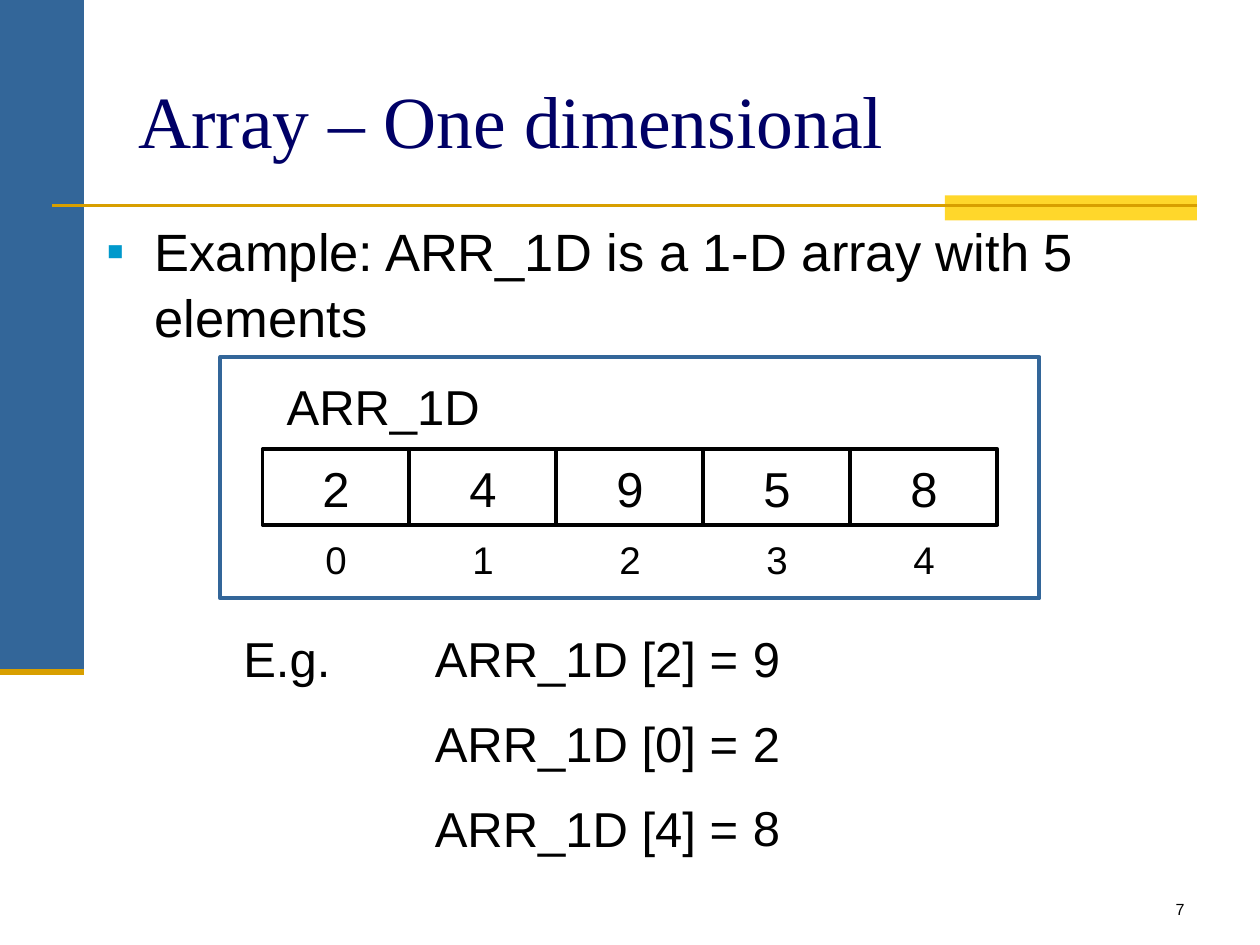
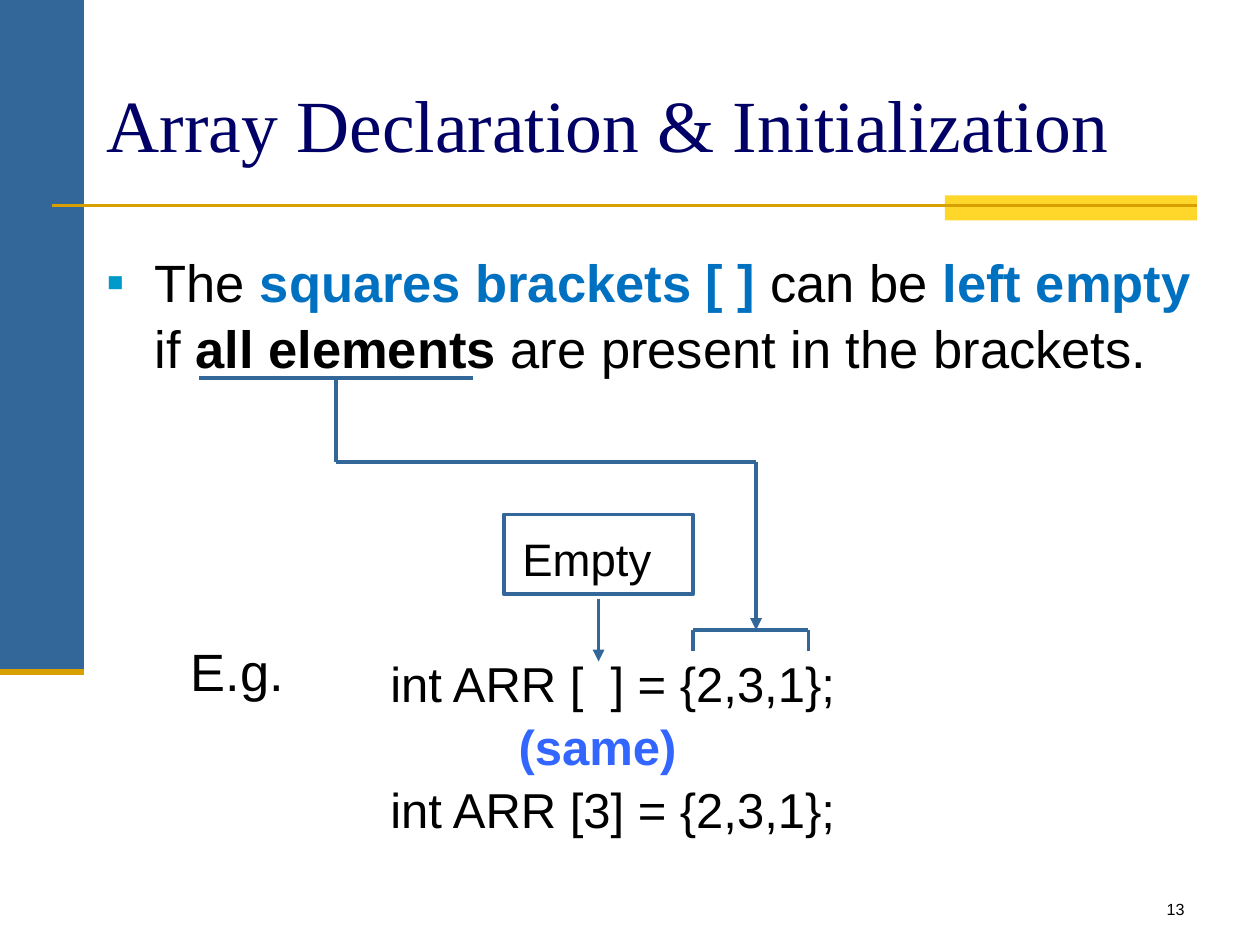
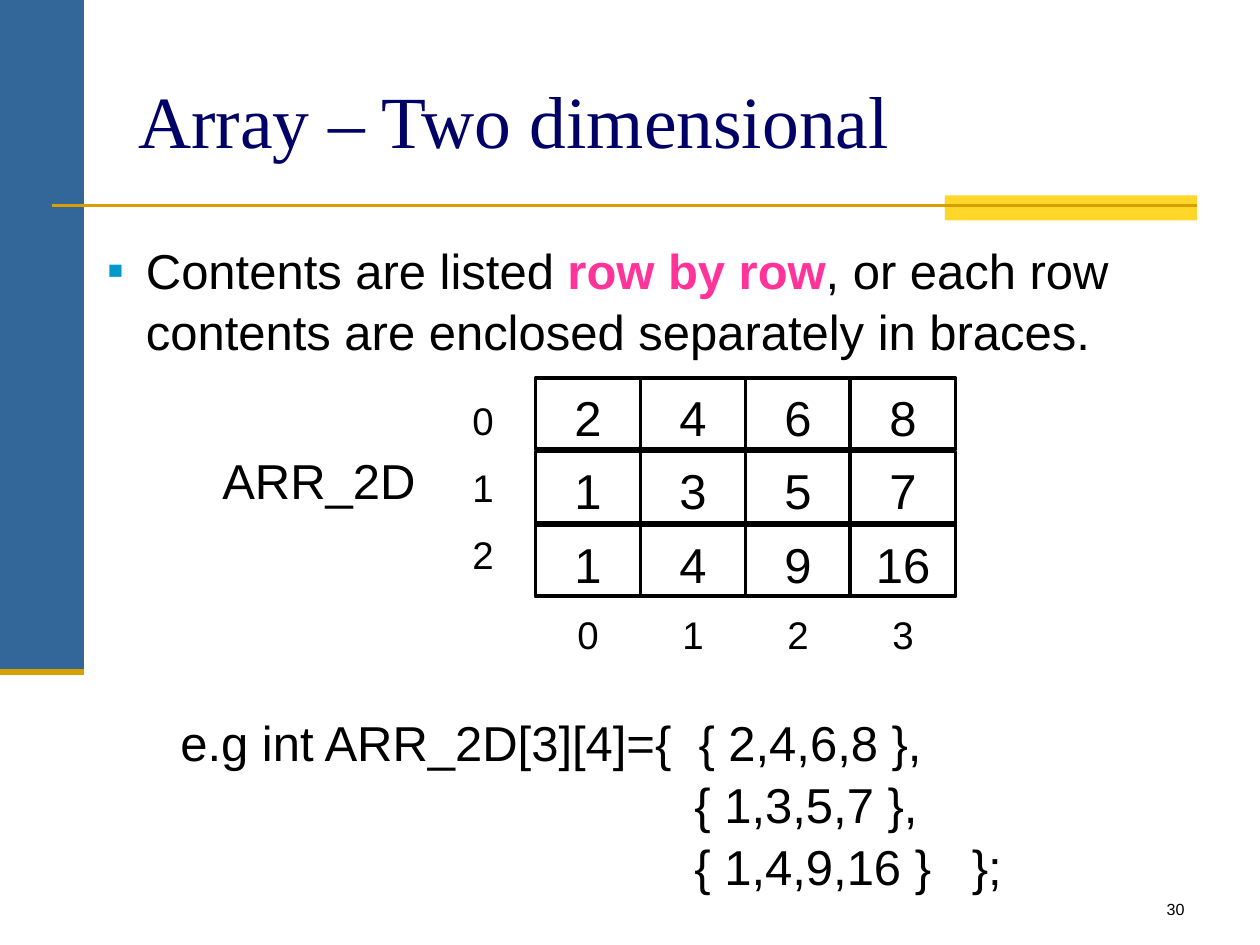
import lxml.etree
import pptx
import pptx.dml.color
import pptx.enum.shapes
import pptx.enum.text
import pptx.oxml.ns
import pptx.util

RGB = pptx.dml.color.RGBColor
BLUE = RGB(0x33, 0x66, 0x99)
YELLOW = RGB(0xFF, 0xD7, 0x2B)
GOLD = RGB(0xD8, 0x9F, 0x00)
NAVY = RGB(0x00, 0x00, 0x66)
BULLET = RGB(0x00, 0x99, 0xCC)
BLACK = RGB(0, 0, 0)
STRONG_BLUE = RGB(0x00, 0x70, 0xC0)
BRIGHT_BLUE = RGB(0x33, 0x66, 0xFF)
PINK = RGB(0xFF, 0x33, 0x99)

ALIGN = pptx.enum.text.PP_ALIGN
ANCHOR = pptx.enum.text.MSO_ANCHOR
RECTANGLE = pptx.enum.shapes.MSO_SHAPE.RECTANGLE
STRAIGHT = pptx.enum.shapes.MSO_CONNECTOR.STRAIGHT

SLIDE_WIDTH, SLIDE_HEIGHT = pptx.util.Inches(10), pptx.util.Inches(7.5)
COLUMNS = 120  # the slide is a grid of 120 by 90 square units
UNIT = SLIDE_WIDTH / COLUMNS

BODY = {"size": pptx.util.Pt(28), "name": "Arial"}
LARGE = {**BODY, "size": pptx.util.Pt(30)}
NOTE = {**BODY, "size": pptx.util.Pt(26)}
INDEX = {**BODY, "size": pptx.util.Pt(22)}
NUMBER = {**BODY, "size": pptx.util.Pt(9.2)}
TITLE = {"size": pptx.util.Pt(42), "name": "Times New Roman"}


def grid(*lengths):
    return [round(length * UNIT) for length in lengths]


def add_element(parent, tag, **attributes):
    return lxml.etree.SubElement(parent, pptx.oxml.ns.qn(tag), attributes)


def add_bullet(para):
    properties = para._p.get_or_add_pPr()
    add_element(add_element(properties, "a:buClr"), "a:srgbClr", val=str(BULLET))
    add_element(properties, "a:buFont", typeface="Arial")
    add_element(properties, "a:buChar", char="▪")


def add_tab(para, inches):
    stops = add_element(para._p.get_or_add_pPr(), "a:tabLst")
    add_element(stops, "a:tab", pos=str(pptx.util.Inches(inches)), algn="l")


def write(shape, paras, style, align=ALIGN.LEFT, anchor=ANCHOR.TOP, color=BLACK,
          bullet=False, indent=0, tab=None, **margins):
    """Fill a shape with paragraphs, each a string or a list of (text, format) spans."""
    frame = shape.text_frame
    settings = {"word_wrap": True, "vertical_anchor": anchor, **margins}
    for name, value in settings.items():
        setattr(frame, name, value)
    for number, spans in enumerate(paras):
        para = frame.add_paragraph() if number else frame.paragraphs[0]
        para.alignment = align
        para.line_spacing = 1.05
        if indent:
            hanging = pptx.util.Inches(indent)
            properties = para._p.get_or_add_pPr()
            properties.set("marL", str(hanging))
            properties.set("indent", str(-hanging if number == 0 else 0))
        if bullet and number == 0:
            add_bullet(para)
        if tab:
            add_tab(para, tab)
        for text, extra in [(spans, {})] if isinstance(spans, str) else spans:
            span = para.add_run()
            span.text = text
            formats = {"color": color, **style, **extra}
            span.font.color.rgb = formats.pop("color")
            for name, value in formats.items():
                setattr(span.font, name, value)


def add_text(page, box, paras, style, **options):
    write(page.shapes.add_textbox(*grid(*box)), paras, style, **options)


def add_box(page, box, fill=None, line=None):
    shape = page.shapes.add_shape(RECTANGLE, *grid(*box))
    shape.shadow.inherit = False
    if fill is None:
        shape.fill.background()
    else:
        shape.fill.solid()
        shape.fill.fore_color.rgb = fill
    if line is None:
        shape.line.fill.background()
    else:
        shape.line.color.rgb = line
        shape.line.width = pptx.util.Pt(2.25)
    return shape


def add_line(page, ends, color=BLUE, width=2.25, arrow=False):
    line = page.shapes.add_connector(STRAIGHT, *grid(*ends))
    line.line.color.rgb = color
    line.line.width = pptx.util.Pt(width)
    if arrow:
        add_element(line.line._get_or_add_ln(), "a:tailEnd", type="triangle")
    add_element(line._element.spPr, "a:effectLst")


def add_page(deck, title, number, title_left=12, title_top=3.6):
    """Add a slide with the shared side band, title rule and page number."""
    page = deck.slides.add_slide(deck.slide_layouts[6])
    add_box(page, (0, 0, 8, 64), fill=BLUE)
    add_box(page, (90, 18.6, 24, 2.4), fill=YELLOW)
    add_line(page, (5, 19.6, 114, 19.6), GOLD, 1.5)
    add_line(page, (0, 64, 8, 64), GOLD, 3.5)
    add_text(page, (title_left, title_top, 102, 15), [title], TITLE,
             color=NAVY, anchor=ANCHOR.MIDDLE)
    add_text(page, (89, 85, 25, 3), [str(number)], NUMBER, align=ALIGN.RIGHT)
    return page


def add_cells(page, box, rows, row_step):
    """Draw a bordered cell for each value, with rows row_step apart."""
    left, top, width, height = box
    for row, values in enumerate(rows):
        for column, value in enumerate(values):
            cell = add_box(page, (left + column * width, top + row * row_step, width, height),
                           line=BLACK)
            write(cell, [str(value)], BODY, align=ALIGN.CENTER)


def add_indices(page, box, count, across=0, down=0):
    left, top, width, height = box
    for index in range(count):
        add_text(page, (left + index * across, top + index * down, width, height),
                 [str(index)], INDEX, align=ALIGN.CENTER)


def array_frame(page, box, name, values):
    left, top, width, height = box
    cell_width = 14
    add_text(page, (left + 4, top + 1, 23, 6.8), [name], BODY, align=ALIGN.CENTER)
    add_cells(page, (left + 4, top + 8.8, cell_width, 7.2), [values], 0)
    add_indices(page, (left + 6, top + 16.2, 10, 5.6), len(values), across=cell_width)
    add_box(page, box, line=BLUE)


def lookups(page, box, name, values, picked):
    left, top, width, height = box
    for row, index in enumerate(picked):
        lead = "" if row else "E.g."
        add_text(page, (left, top + row * 8.1, width, height),
                 [f"{lead}\t{name} [{index}] ="], BODY, tab=1.52)
        add_text(page, (left + 45, top + row * 8.05, 12, height),
                 [str(values[index])], BODY, align=ALIGN.CENTER)


def one_dimensional(deck):
    page = add_page(deck, "Array – One dimensional", 7)
    name, values = "ARR_1D", (2, 4, 9, 5, 8)
    add_text(page, (9, 20, 95, 13.2), ["Example: ARR_1D is a 1-D array with 5 elements"],
             LARGE, bullet=True, indent=0.38)
    array_frame(page, (21, 34, 78, 23), name, values)
    lookups(page, (22, 59, 67, 6.8), name, values, (2, 0, 4))


def callouts(page, box):
    """Link the underlined words to the braces, and the note to the brackets."""
    left, top, width, height = box
    stem, bend, target = left + 13, top + 8, left + 53
    brace_left, brace_right, brace_top = left + 47, left + 58, top + 24
    add_line(page, (left, top, left + 26, top))
    add_line(page, (stem, top, stem, bend))
    add_line(page, (stem, bend, target, bend))
    add_line(page, (target, bend, target, brace_top), arrow=True)
    add_line(page, (brace_left, brace_top, brace_right, brace_top))
    for side in (brace_left, brace_right):
        add_line(page, (side, brace_top, side, top + height))
    add_line(page, (left + 38, top + 21, left + 38, top + 27), arrow=True)
    note = add_box(page, (left + 29, top + 13, 18, 7.6), line=BLUE)
    write(note, ["Empty"], NOTE, align=ALIGN.CENTER,
          margin_right=pptx.util.Inches(0.28), margin_top=pptx.util.Inches(0.11))


def declaration(deck):
    page = add_page(deck, "Array Declaration & Initialization", 13, title_left=9, title_top=4)
    strong = {"bold": True, "color": STRONG_BLUE}
    add_text(page, (9, 22.9, 106, 13), [[
        ("The ", {}), ("squares brackets [ ] ", strong), ("can be ", {}),
        ("left empty ", strong), ("if ", {}), ("all elements", {"bold": True}),
        (" are present in the brackets.", {})]], LARGE, bullet=True, indent=0.38)
    add_text(page, (17, 60, 13, 7.2), ["E.g."], LARGE)
    left, top, step, height = 36, 61.4, 6, 7.2
    for row, code in ((0, "int ARR [  ] = {2,3,1};"), (2, "int ARR [3] = {2,3,1};")):
        add_text(page, (left, top + row * step, 47, height), [code], BODY)
    add_text(page, (left, top + step, 41.8, height), ["(same)"], {**BODY, "bold": True},
             color=BRIGHT_BLUE, align=ALIGN.CENTER)
    callouts(page, (19, 36, 58, 26))


def matrix(page, box, name, rows):
    left, top, width, height = box
    cell_width, row_step, first = 10, 7, left + 31
    add_text(page, (left, top + 6, 21, 6.8), [name], BODY)
    add_cells(page, (first, top, cell_width, 6.8), rows, row_step)
    add_indices(page, (left + 21, top + 1, 10, 5.6), len(rows), down=6.4)
    add_indices(page, (first, top + height - 5.6, cell_width, 5.6), len(rows[0]),
                across=cell_width)


def two_dimensional(deck):
    page = add_page(deck, "Array – Two dimensional", 30)
    add_text(page, (9, 22, 105, 12.4), [
        [("Contents are listed ", {}), ("row by row", {"bold": True, "color": PINK}),
         (", or each row", {})],
        "contents are enclosed separately in braces."], BODY, bullet=True, indent=0.31)
    matrix(page, (20, 36, 71, 27), "ARR_2D", ((2, 4, 6, 8), (1, 3, 5, 7), (1, 4, 9, 16)))
    add_text(page, (16, 67, 95, 18), [
        "e.g int ARR_2D[3][4]={  { 2,4,6,8 },",
        "\t{ 1,3,5,7 },",
        "\t{ 1,4,9,16 }   };"], BODY, tab=4.08)


def main():
    deck = pptx.Presentation()
    deck.slide_width, deck.slide_height = SLIDE_WIDTH, SLIDE_HEIGHT
    for build in (one_dimensional, declaration, two_dimensional):
        build(deck)
    deck.save("out.pptx")


if __name__ == "__main__":
    main()
